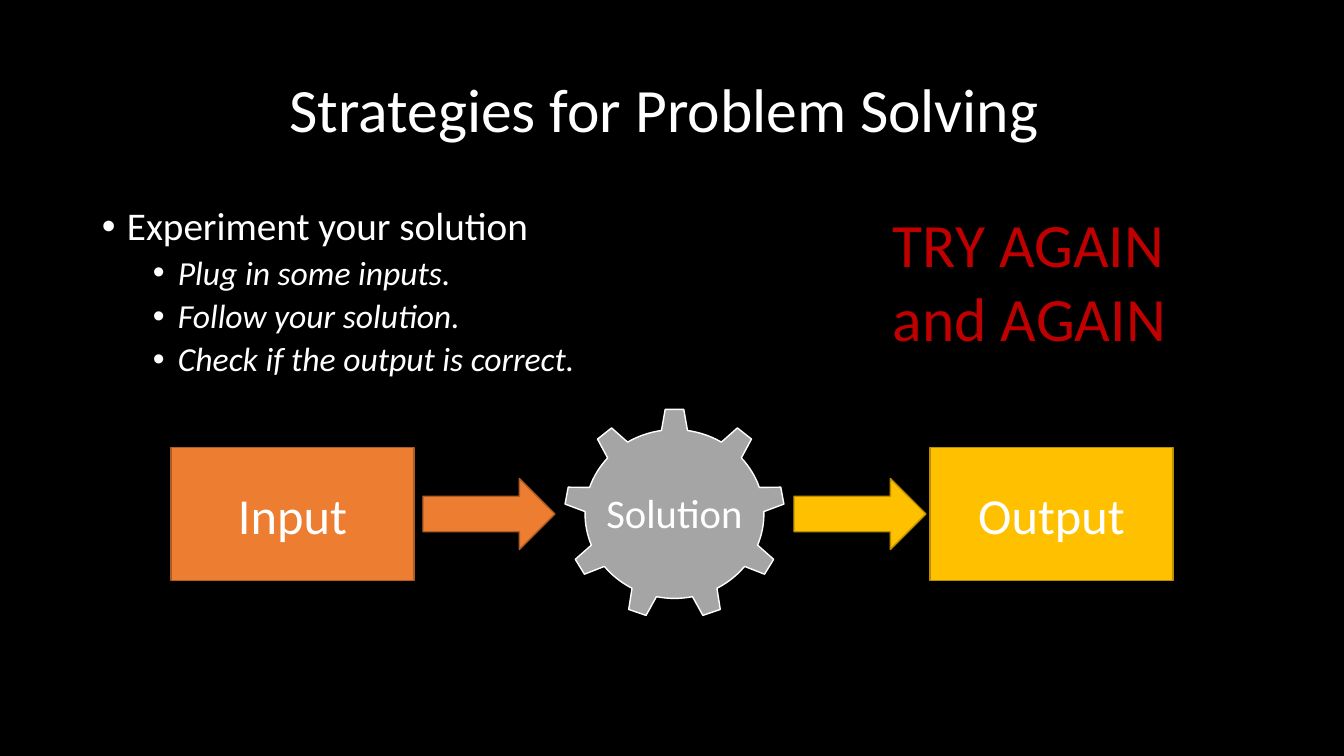
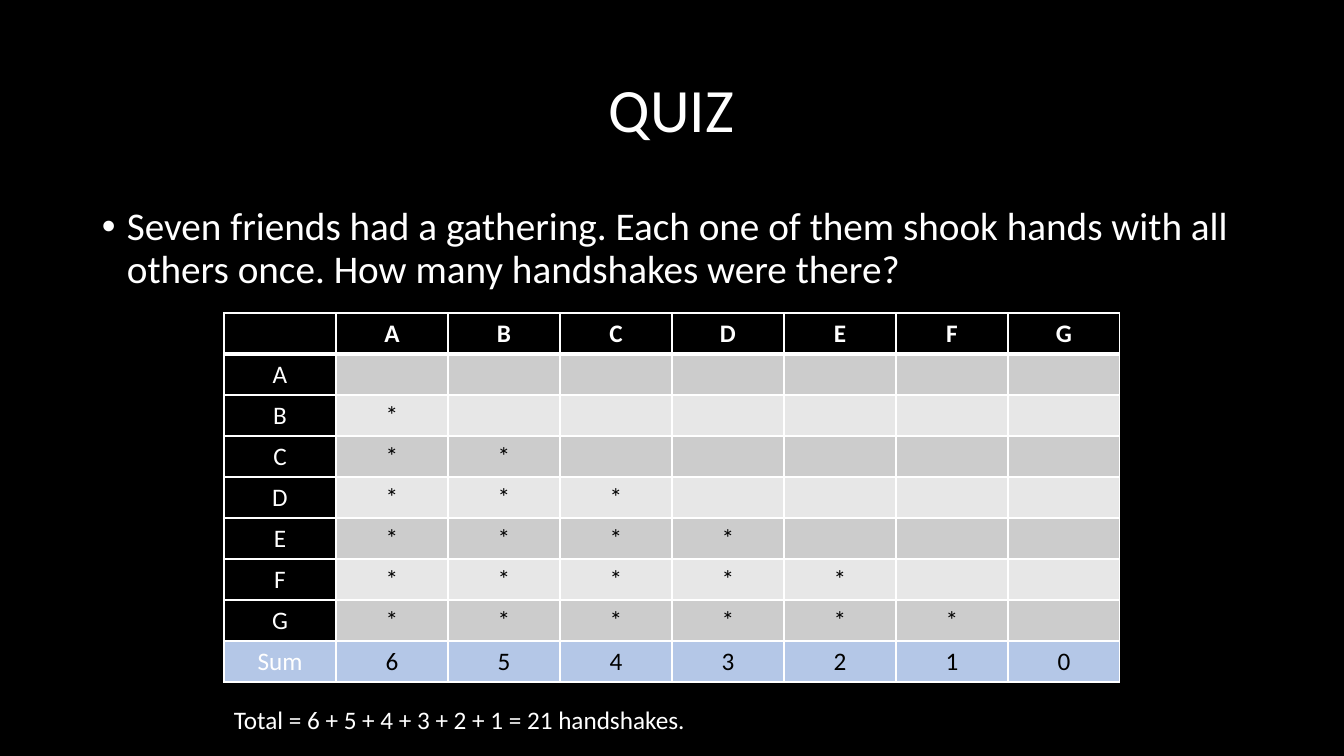
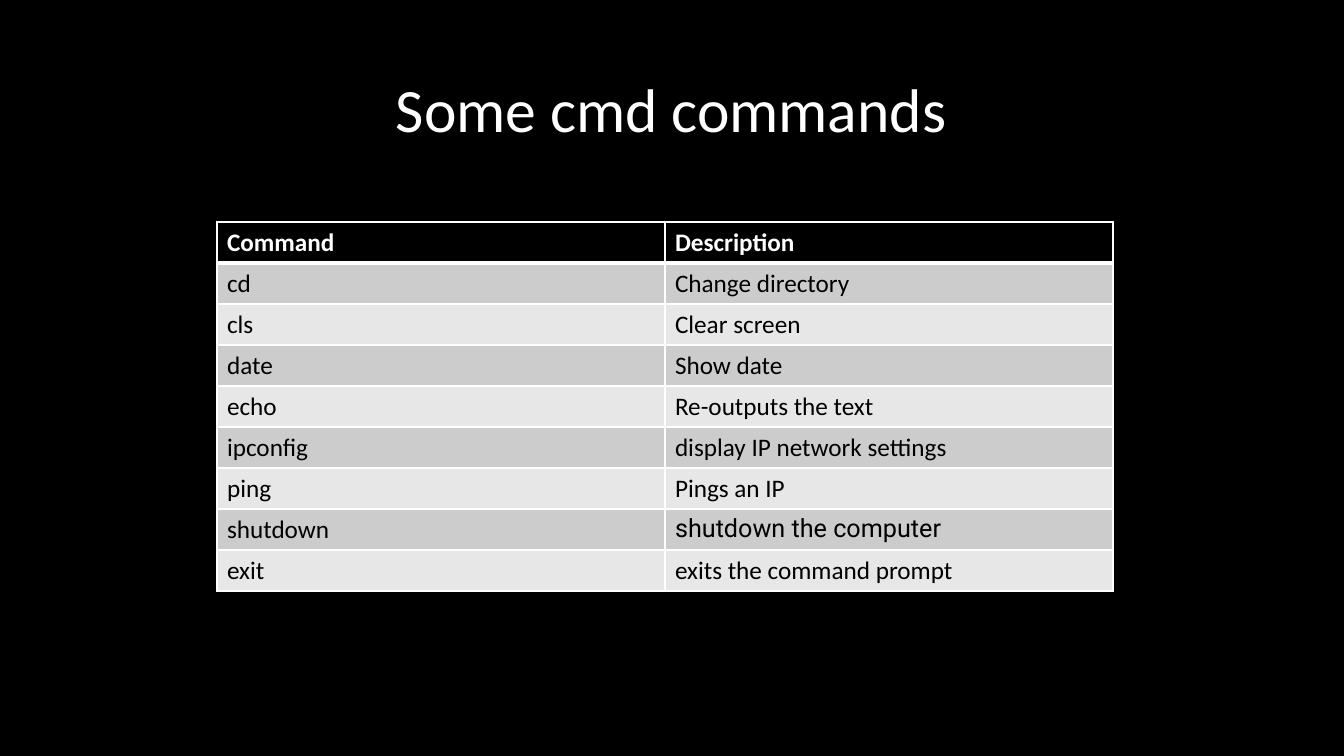
"""Build three black slides on problem solving, a handshake quiz and cmd commands."""
from lxml import etree
from pptx import Presentation
from pptx.dml.color import RGBColor
from pptx.enum.shapes import MSO_SHAPE
from pptx.enum.text import MSO_ANCHOR, PP_ALIGN
from pptx.oxml.ns import qn
from pptx.util import Pt

SCALE = 12192000 / 1344
PAGE_SIZE = (1344, 756)
FONT = "Calibri"
LEFT, CENTER = PP_ALIGN.LEFT, PP_ALIGN.CENTER
TOP, MIDDLE = MSO_ANCHOR.TOP, MSO_ANCHOR.MIDDLE
RECTANGLE, ARROW, GEAR = MSO_SHAPE.RECTANGLE, MSO_SHAPE.RIGHT_ARROW, MSO_SHAPE.GEAR_9
COLORS = {
    "black": "000000",
    "white": "FFFFFF",
    "red": "C00000",
    "orange": "ED7D31",
    "orange_edge": "AF5C24",
    "gold": "FFC000",
    "gold_edge": "BD8E00",
    "grey": "A5A5A5",
    "odd_row": "CCCCCC",
    "even_row": "E7E7E7",
    "sum_row": "B4C7E7",
}
TITLE_AREA = (92, 40, 1159, 146)
BODY_AREA = (92, 202, 1159, 480)
ROW_HEIGHT = 41
FLOW_MIDDLE = 514
COMMANDS = [
    ("cd", "Change directory"),
    ("cls", "Clear screen"),
    ("date", "Show date"),
    ("echo", "Re-outputs the text"),
    ("ipconfig", "display IP network settings"),
    ("ping", "Pings an IP"),
    ("shutdown", "shutdown the computer"),
    ("exit", "exits the command prompt"),
]


def px(length):
    return round(length * SCALE)


def color(name):
    return RGBColor.from_string(COLORS[name])


def write(frame, text, *, size=18, ink="white", font=FONT, bold=False, italic=False,
          align=LEFT, spacing=1.0, before=0, bullet_indent=None):
    para = frame.paragraphs[0]
    if para.runs:
        para = frame.add_paragraph()
    para.alignment = align
    para.line_spacing = spacing
    para.space_before = Pt(before)
    if bullet_indent:
        properties = para._p.get_or_add_pPr()
        properties.set("marL", str(px(bullet_indent)))
        properties.set("indent", str(-px(25)))
        etree.SubElement(properties, qn("a:buFont")).set("typeface", "Arial")
        etree.SubElement(properties, qn("a:buChar")).set("char", "•")
    span = para.add_run()
    span.text = text
    span.font.name = font
    span.font.size = Pt(size)
    span.font.bold = bold
    span.font.italic = italic
    span.font.color.rgb = color(ink)


def add_text_box(page, area, anchor=TOP):
    frame = page.shapes.add_textbox(*map(px, area)).text_frame
    frame.word_wrap = True
    frame.vertical_anchor = anchor
    return frame


def add_page(deck, title):
    page = deck.slides.add_slide(deck.slide_layouts[6])
    frame = add_text_box(page, TITLE_AREA, MIDDLE)
    write(frame, title, size=44, align=CENTER, spacing=0.9)
    return page


def add_bullets(page, heading, details=()):
    frame = add_text_box(page, BODY_AREA)
    write(frame, heading, size=28, spacing=0.9, before=10, bullet_indent=25)
    for detail in details:
        write(frame, detail, size=24, italic=True, spacing=0.9, before=5, bullet_indent=76)


def add_flow_shape(page, kind, left, width, height, fill, edge, text="", size=36):
    top = FLOW_MIDDLE - height / 2
    shape = page.shapes.add_shape(kind, *map(px, (left, top, width, height)))
    shape.shadow.inherit = False
    shape.fill.solid()
    shape.fill.fore_color.rgb = color(fill)
    shape.line.color.rgb = color(edge)
    shape.line.width = Pt(1)
    if text:
        frame = shape.text_frame
        frame.word_wrap = False
        frame.vertical_anchor = MIDDLE
        write(frame, text, size=size, align=CENTER)


def set_borders(cell, top, bottom):
    properties = cell._tc.get_or_add_tcPr()
    for edge, width in (("lnL", 1), ("lnR", 1), ("lnT", top), ("lnB", bottom)):
        line = etree.SubElement(properties, qn(f"a:{edge}"), w=str(Pt(width)))
        fill = etree.SubElement(line, qn("a:solidFill"))
        etree.SubElement(fill, qn("a:srgbClr"), val=COLORS["white"])


def add_grid(page, left, top, column_width, rows, cell_style, align=LEFT):
    columns = len(rows[0])
    area = (left, top, column_width * columns, ROW_HEIGHT * len(rows))
    table = page.shapes.add_table(len(rows), columns, *map(px, area)).table
    for row_index, row in enumerate(rows):
        for column_index, text in enumerate(row):
            cell = table.cell(row_index, column_index)
            set_borders(cell, 3 if row_index == 1 else 1, 3 if row_index == 0 else 1)
            fill, ink = cell_style(row_index, column_index)
            cell.fill.solid()
            cell.fill.fore_color.rgb = color(fill)
            if text:
                font = "Roboto" if text == "shutdown the computer" else FONT
                write(cell.text_frame, text, ink=ink, font=font,
                      bold=row_index == 0, align=align)


def banded_style(row, column):
    if row == 0:
        return "black", "white"
    return ("odd_row" if row % 2 else "even_row"), "black"


def handshake_style(row, column):
    if row == 8:
        return "sum_row", "black" if column else "white"
    if column == 0:
        return "black", "white"
    return banded_style(row, column)


def build_strategies(deck):
    page = add_page(deck, "Strategies for Problem Solving ")
    add_bullets(page, "Experiment your solution", [
        "Plug in some inputs.",
        "Follow your solution.",
        "Check if the output is correct.",
    ])
    add_flow_shape(page, RECTANGLE, 171, 243, 133, "orange", "orange_edge", "Input")
    add_flow_shape(page, ARROW, 423, 132, 71, "orange", "orange_edge")
    add_flow_shape(page, GEAR, 564, 221, 211, "grey", "white", "Solution", size=29)
    add_flow_shape(page, ARROW, 794, 132, 71, "gold", "gold_edge")
    add_flow_shape(page, RECTANGLE, 930, 243, 133, "gold", "gold_edge", "Output")
    write(add_text_box(page, (883, 201, 369, 159)), "TRY AGAIN and AGAIN", size=44, ink="red")


def build_quiz(deck):
    page = add_page(deck, "QUIZ")
    add_bullets(page, "Seven friends had a gathering. Each one of them shook hands with all "
                      "others once. How many handshakes were there?")
    friends = "ABCDEFG"
    count = len(friends)
    rows = [["", *friends]]
    for met, friend in enumerate(friends):
        rows.append([friend] + ["*"] * met + [""] * (count - met))
    rows.append(["Sum"] + [str(total) for total in reversed(range(count))])
    add_grid(page, 224, 313, 112, rows, handshake_style, CENTER)
    write(add_text_box(page, (224, 699, 896, 40)),
          "Total = 6 + 5 + 4 + 3 + 2 + 1 = 21 handshakes.")


def build_commands(deck):
    page = add_page(deck, "Some cmd commands")
    add_grid(page, 217, 222, 448, [("Command", "Description"), *COMMANDS], banded_style)


def main():
    deck = Presentation()
    deck.slide_width, deck.slide_height = map(px, PAGE_SIZE)
    background = deck.slide_master.background.fill
    background.solid()
    background.fore_color.rgb = color("black")
    build_strategies(deck)
    build_quiz(deck)
    build_commands(deck)
    deck.save("out.pptx")


if __name__ == "__main__":
    main()
